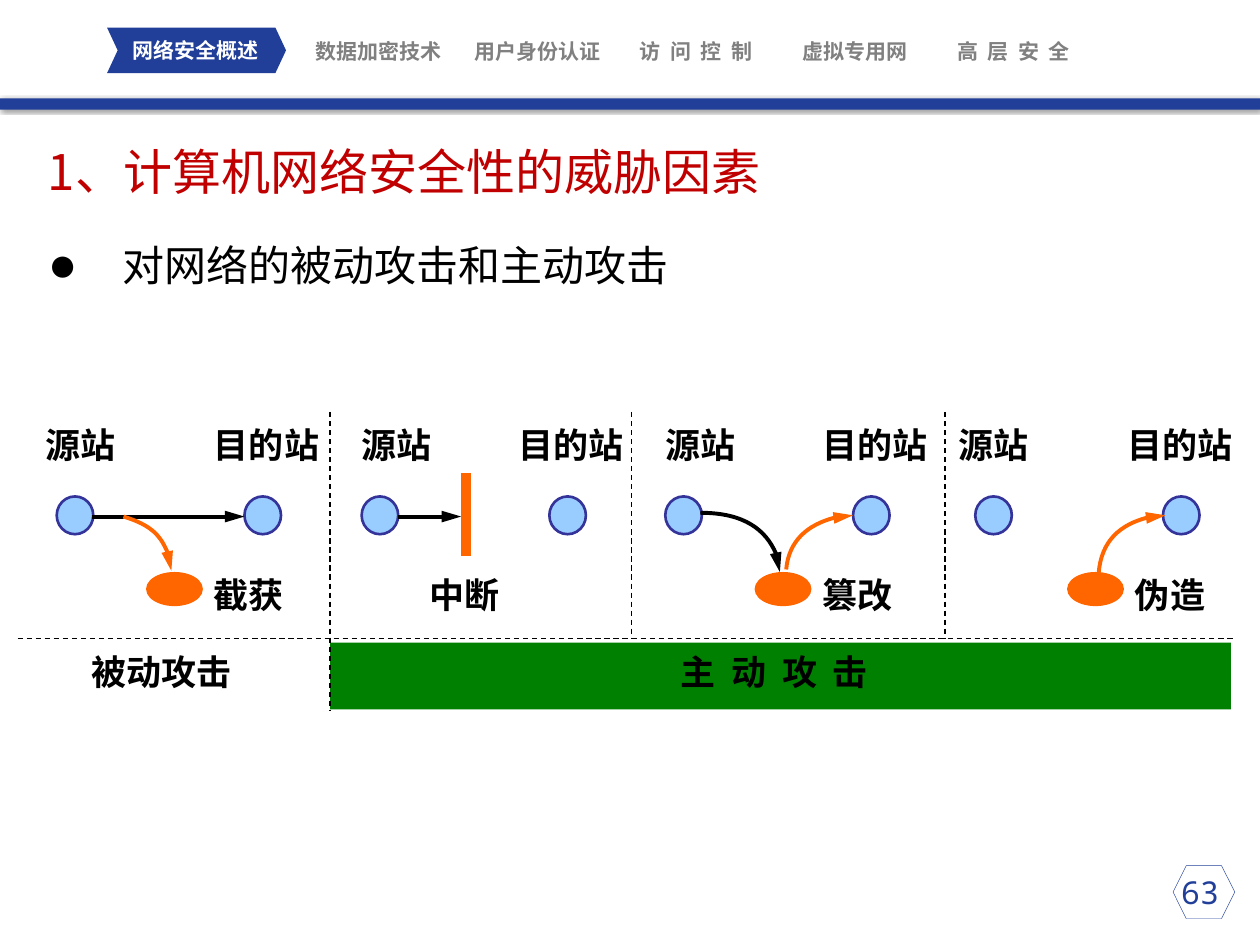
from pptx import Presentation
from pptx.dml.color import RGBColor
from pptx.enum.dml import MSO_LINE
from pptx.enum.shapes import MSO_CONNECTOR, MSO_SHAPE
from pptx.enum.text import MSO_ANCHOR, MSO_AUTO_SIZE, PP_ALIGN
from pptx.oxml import parse_xml
from pptx.oxml.ns import nsdecls, qn
from pptx.util import Inches, Pt
from lxml.etree import SubElement

NAVY, GREY, BLACK, ORANGE = "213F99", "808080", "000000", "FF6600"
CJK = "Noto Sans CJK SC"


def color(value):
    return RGBColor.from_string(value)


def format_text(frame, size, font, ink, bold=False, align=PP_ALIGN.LEFT):
    for para in frame.paragraphs:
        para.alignment = align
        for span in para.runs:
            span.font.size, span.font.name, span.font.bold = Pt(size), font, bold
            span.font.color.rgb = color(ink)
            SubElement(span._r.get_or_add_rPr(), qn("a:ea")).set("typeface", CJK)


def add_text(page, box, text, size, font, ink, bold=False, align=PP_ALIGN.LEFT,
             wrap=False, inset=None, anchor=MSO_ANCHOR.TOP):
    frame = page.shapes.add_textbox(*map(Inches, box)).text_frame
    frame.text = text
    frame.word_wrap = wrap
    if not wrap:
        frame.auto_size = MSO_AUTO_SIZE.SHAPE_TO_FIT_TEXT
    frame.vertical_anchor = anchor
    if inset is not None:
        frame.margin_left = frame.margin_right = Inches(inset)
        frame.margin_top = frame.margin_bottom = Inches(inset)
    format_text(frame, size, font, ink, bold, align)


def add_label(page, left, top, width, text):
    add_text(page, (left, top, width, 0.43), text, 20, "Arial", BLACK, True)


def add_block(page, kind, box, fill=None, line=None, weight=1.5):
    block = page.shapes.add_shape(kind, *map(Inches, box))
    block.shadow.inherit = False
    if fill:
        block.fill.solid()
        block.fill.fore_color.rgb = color(fill)
    else:
        block.fill.background()
    if line:
        block.line.color.rgb = color(line)
        block.line.width = Pt(weight)
    else:
        block.line.fill.background()
    return block


def style_line(shape, ink, weight, dash=False, arrow=False):
    shape.line.color.rgb = color(ink)
    shape.line.width = Pt(weight)
    if dash:
        shape.line.dash_style = MSO_LINE.DASH
    if arrow:
        tip = SubElement(shape.line._get_or_add_ln(), qn("a:tailEnd"))
        tip.set("type", "triangle")
        tip.set("len", "lg")


def add_line(page, start, end, ink=BLACK, weight=2.25, dash=False, arrow=False):
    line = page.shapes.add_connector(MSO_CONNECTOR.STRAIGHT, *map(Inches, start + end))
    style_line(line, ink, weight, dash, arrow)
    SubElement(line._element.spPr, qn("a:effectLst"))


def add_curve(page, start, *points, ink=ORANGE):
    """Draw an arrow along one cubic curve: start, two control points, end."""
    builder = page.shapes.build_freeform(*map(Inches, start), scale=1.0)
    builder.add_line_segments([tuple(map(Inches, point)) for point in points], close=False)
    curve = builder.convert_to_shape()
    curve.shadow.inherit = False
    curve.fill.background()
    style_line(curve, ink, 2.25, arrow=True)
    outline = curve._element.find(".//" + qn("a:path"))
    bend = SubElement(outline, qn("a:cubicBezTo"))
    for segment in outline.findall(qn("a:lnTo")):
        bend.append(segment[0])
        outline.remove(segment)


def add_navigation(page, left, top):
    chevron = add_block(page, MSO_SHAPE.CHEVRON, (left, top, 1.42, 0.36), NAVY)
    chevron.adjustments[0] = 0.234
    tabs = ["网络安全概述", "数据加密技术", "用户身份认证",
            "访  问  控  制", "虚拟专用网", "高  层  安  全"]
    for index, tab in enumerate(tabs):
        tab_left = left + 0.37 + 1.26 * index if index else left + 0.18
        add_text(page, (tab_left, top + (0.09 if index else 0.08), 1.05, 0.2), tab, 12,
                 "Arial Narrow", GREY if index else "FFFFFF", True, PP_ALIGN.CENTER,
                 True, 0, MSO_ANCHOR.MIDDLE)
    bar = add_block(page, MSO_SHAPE.RECTANGLE, (0, top + 0.56, 10, 0.09), NAVY)
    bar._element.spPr.remove(bar._element.spPr.find(qn("a:effectLst")))
    bar._element.spPr.append(parse_xml(
        f'<a:effectLst {nsdecls("a")}><a:outerShdw blurRad="25400" dist="12700" '
        'dir="2700000" algn="tl" rotWithShape="0"><a:srgbClr val="000000">'
        '<a:alpha val="40000"/></a:srgbClr></a:outerShdw></a:effectLst>'))


def fill_placeholder(holder, box, text, size, ink):
    holder.left, holder.top, holder.width, holder.height = map(Inches, box)
    frame = holder.text_frame
    frame.text = text
    frame.auto_size = MSO_AUTO_SIZE.NONE
    frame.vertical_anchor = MSO_ANCHOR.MIDDLE
    frame.paragraphs[0].space_before = Pt(0)
    format_text(frame, size, CJK, ink)
    return frame.paragraphs[0]


def add_headings(page, left, top):
    fill_placeholder(page.shapes.title, (left, top, 9.45, 0.57),
                     "1、计算机网络安全性的威胁因素", 28, "C00000")
    para = fill_placeholder(page.placeholders[1], (left, top + 0.74, 9.45, 0.58),
                            "对网络的被动攻击和主动攻击", 24, BLACK)
    properties = para._p.get_or_add_pPr()
    properties.set("marL", str(Inches(0.59)))
    properties.set("indent", str(-Inches(0.59)))
    SubElement(SubElement(properties, qn("a:buClr")), qn("a:srgbClr")).set("val", BLACK)
    SubElement(properties, qn("a:buSzPct")).set("val", "117000")
    SubElement(properties, qn("a:buChar")).set("char", "●")


def add_attack(page, left, top, source_label, target_label, name, name_left):
    """Draw the two stations of one attack; left and top belong to the source."""
    for offset in (0, 1.49):
        add_block(page, MSO_SHAPE.OVAL, (left + offset, top, 0.29, 0.3), "99CCFF", "333399")
    add_label(page, source_label, top - 0.63, 0.76, "源站")
    add_label(page, target_label, top - 0.63, 1.06, "目的站")
    add_label(page, name_left, top + 0.56, 0.76, name)


def add_attacker(page, left, top):
    add_block(page, MSO_SHAPE.OVAL, (left, top, 0.43, 0.25), ORANGE, ORANGE)


def add_return_curve(page, left, top, drop):
    add_curve(page, (left, top + drop), (left + 0.02, top + 0.2),
              (left + 0.25, top), (left + 0.53, top))


def add_diagram(page, left, top):
    # Category band
    add_block(page, MSO_SHAPE.RECTANGLE, (left + 2.48, top + 1.83, 7.15, 0.53), "008000")
    add_label(page, left + 0.49, top + 1.84, 1.31, "被动攻击")
    add_label(page, left + 5.16, top + 1.84, 1.77, "主  动  攻  击")

    # Stations and attack names
    stations = top + 0.67
    for attack in [(0.45, 0.26, 1.6, "截获", 1.6), (2.87, 2.77, 4.02, "中断", 3.31),
                   (5.28, 5.18, 6.43, "篡改", 6.43), (7.74, 7.51, 8.85, "伪造", 8.91)]:
        add_attack(page, attack[0], stations, *attack[1:])
    for attacker_left in (1.17, 6, 8.48):
        add_attacker(page, attacker_left, top + 1.28)

    # Traffic between stations
    middle = top + 0.83
    add_line(page, (left + 0.59, middle), (left + 1.8, middle), arrow=True)
    add_line(page, (left + 3.02, middle), (left + 3.52, middle), arrow=True)
    add_line(page, (left + 3.56, top + 0.48), (left + 3.56, top + 1.14), ORANGE, 6)
    add_curve(page, (left + 0.84, middle), (left + 1.07, top + 0.9),
              (left + 1.22, top + 1.07), (left + 1.22, top + 1.26))
    add_curve(page, (left + 5.42, top + 0.8), (left + 5.77, top + 0.8),
              (left + 6.05, top + 1.01), (left + 6.05, top + 1.27), ink=BLACK)
    add_return_curve(page, left + 6.1, top + 0.82, 0.43)
    add_return_curve(page, left + 8.58, top + 0.82, 0.46)

    # Dashed dividers
    base = top + 1.8
    add_line(page, (left, base), (left + 9.65, base), weight=0.75, dash=True)
    for divider, bottom in ((2.62, top + 2.37), (5.01, base), (7.5, base)):
        add_line(page, (divider, top), (divider, bottom), weight=0.75, dash=True)


def add_page_number(page, left, top):
    add_text(page, (left, top, 0.87, 0.4), "63", 18, "Noto Sans Mono", NAVY,
             align=PP_ALIGN.CENTER, wrap=True)
    add_block(page, MSO_SHAPE.HEXAGON, (left + 0.22, top - 0.01, 0.49, 0.42),
              line=NAVY, weight=0.25)


deck = Presentation()
deck.slide_width, deck.slide_height = Inches(10), Inches(7.5)
page = deck.slides.add_slide(deck.slide_layouts[1])
add_navigation(page, 0.85, 0.22)
add_headings(page, 0.28, 1.07)
add_diagram(page, 0.14, 3.27)
add_page_number(page, 9.09, 6.88)
deck.save("out.pptx")
